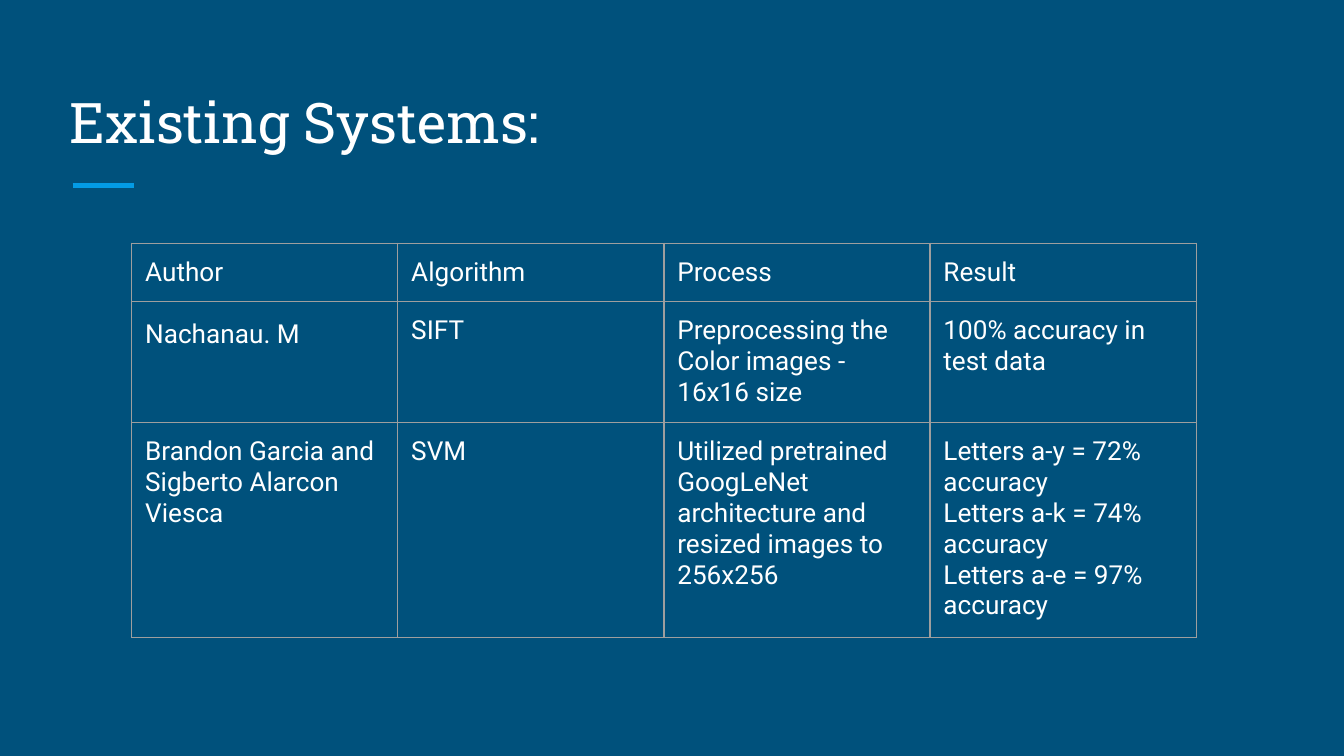
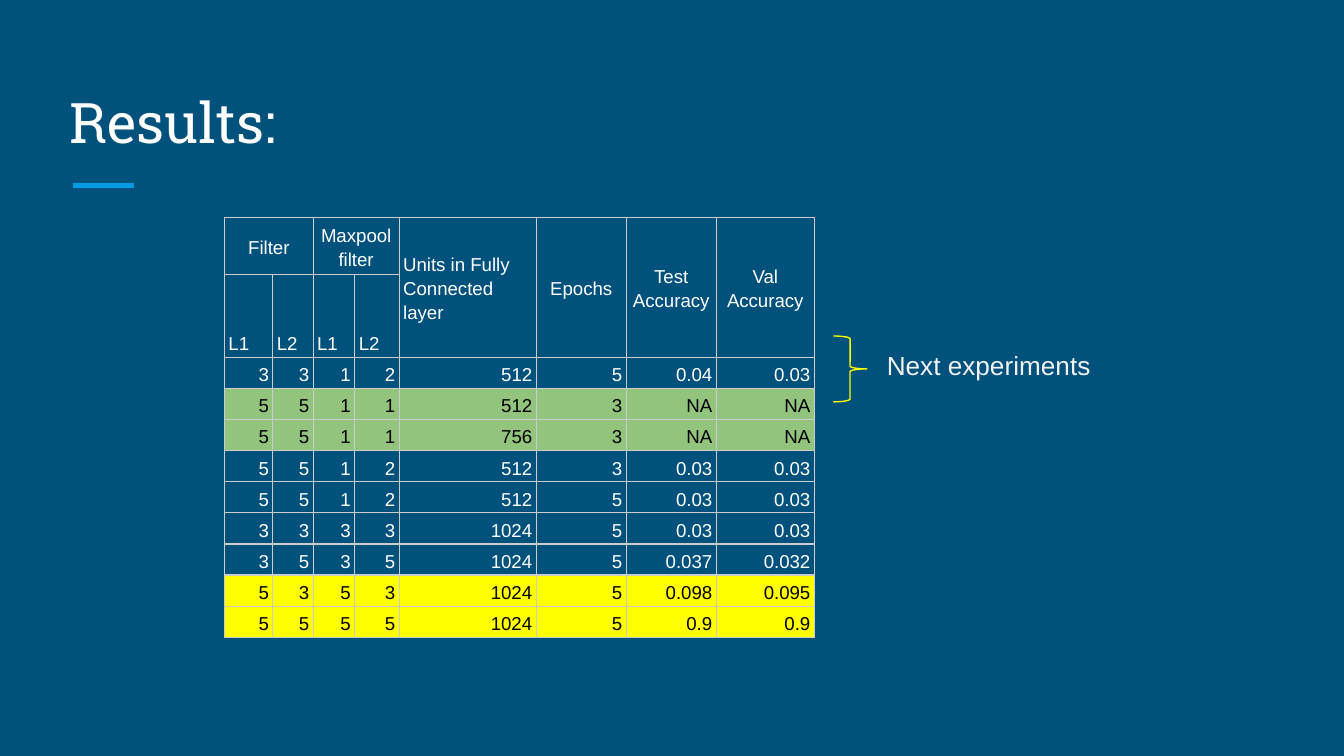
"""Build two slides: a table of existing systems and a table of experiment results."""
from dataclasses import dataclass

from lxml import etree
from pptx import Presentation
from pptx.dml.color import RGBColor
from pptx.enum import shapes, text
from pptx.oxml import ns
from pptx.util import Inches, Pt


@dataclass(frozen=True)
class Theme:
    background: str = "00517C"
    accent: str = "039BE5"
    white: str = "FFFFFF"
    black: str = "000000"
    note: str = "F3F3F3"
    green: str = "93C47D"
    yellow: str = "FFFF00"
    system_border: str = "9E9E9E"
    result_border: str = "CCCCCC"
    title_font: str = "Roboto Slab"
    system_font: str = "Roboto"
    result_font: str = "Arial"
    title_size: int = 30
    body_size: int = 14
    result_size: int = 10
    hairline: float = 0.75
    rule: float = 3


T = Theme()
LEFT, CENTER, RIGHT = text.PP_ALIGN.LEFT, text.PP_ALIGN.CENTER, text.PP_ALIGN.RIGHT
TOP, MIDDLE, BOTTOM = text.MSO_ANCHOR.TOP, text.MSO_ANCHOR.MIDDLE, text.MSO_ANCHOR.BOTTOM

SYSTEMS = [
    ("Author", "Algorithm", "Process", "Result"),
    ("Nachanau. M", "SIFT", "Preprocessing the Color images - 16x16 size",
     "100% accuracy in test data"),
    ("Brandon Garcia and Sigberto Alarcon Viesca", "SVM",
     "Utilized pretrained GoogLeNet architecture and resized images to 256x256",
     "Letters a-y = 72% accuracy\nLetters a-k = 74% accuracy\nLetters a-e = 97% accuracy"),
]
SYSTEM_COLS = [1.98] * 4
SYSTEM_ROWS = [0.42] * len(SYSTEMS)

RESULT_HEADS = [
    ("Filter", "", "Maxpool filter", "", "Units in Fully Connected layer",
     "Epochs", "Test Accuracy", "Val Accuracy"),
    ("L1", "L2", "L1", "L2", "", "", "", ""),
]
RESULTS = [
    ("3", "3", "1", "2", "512", "5", "0.04", "0.03"),
    ("5", "5", "1", "1", "512", "3", "NA", "NA"),
    ("5", "5", "1", "1", "756", "3", "NA", "NA"),
    ("5", "5", "1", "2", "512", "3", "0.03", "0.03"),
    ("5", "5", "1", "2", "512", "5", "0.03", "0.03"),
    ("3", "3", "3", "3", "1024", "5", "0.03", "0.03"),
    ("3", "5", "3", "5", "1024", "5", "0.037", "0.032"),
    ("5", "3", "5", "3", "1024", "5", "0.098", "0.095"),
    ("5", "5", "5", "5", "1024", "5", "0.9", "0.9"),
]
HIGHLIGHTS = {1: T.green, 2: T.green, 7: T.yellow, 8: T.yellow}
RESULT_COLS = [0.36, 0.3, 0.31, 0.33, 1.02, 0.67, 0.67, 0.73]
RESULT_ROWS = [0.36] + [0.22] * (len(RESULTS) + 1)
MERGES = [((0, 0), (0, 1)), ((0, 2), (0, 3))] + [((0, c), (1, c)) for c in range(4, 8)]
FRAME = 3.28


def rgb(color):
    return RGBColor.from_string(color)


def style_text(tf, font, size, color, align=LEFT, spacing=None):
    for p in tf.paragraphs:
        p.alignment = align
        if spacing:
            p.line_spacing = spacing
        for r in p.runs:
            r.font.name = font
            r.font.size = Pt(size)
            r.font.color.rgb = rgb(color)


def set_margins(target, x, y):
    target.margin_left = target.margin_right = Inches(x)
    target.margin_top = target.margin_bottom = Inches(y)


def add_text(s, box, content, font, size, color, anchor=TOP):
    tf = s.shapes.add_textbox(*map(Inches, box)).text_frame
    tf.word_wrap = True
    tf.vertical_anchor = anchor
    set_margins(tf, 0.1, 0.1)
    tf.text = content
    style_text(tf, font, size, color)


def add_titled_slide(prs, title):
    s = prs.slides.add_slide(prs.slide_layouts[6])
    s.background.fill.solid()
    s.background.fill.fore_color.rgb = rgb(T.background)
    rule = s.shapes.add_connector(shapes.MSO_CONNECTOR.STRAIGHT,
                                  Inches(0.54), Inches(1.38), Inches(1), Inches(1.38))
    rule.line.color.rgb = rgb(T.accent)
    rule.line.width = Pt(T.rule)
    etree.SubElement(rule._element.spPr, ns.qn("a:effectLst"))
    add_text(s, (0.42, 0.5, 9.15, 0.75), title, T.title_font, T.title_size, T.white, BOTTOM)
    return s


def set_borders(cell, color):
    tc_pr = cell._tc.get_or_add_tcPr()
    for side in ("lnL", "lnR", "lnT", "lnB"):
        ln = etree.SubElement(tc_pr, ns.qn(f"a:{side}"), w=str(Pt(T.hairline)))
        fill = etree.SubElement(ln, ns.qn("a:solidFill"))
        etree.SubElement(fill, ns.qn("a:srgbClr"), val=color)


def add_grid(s, left, top, cols, rows, content, border, margins):
    box = (left, top, FRAME, FRAME)
    frame = s.shapes.add_table(len(rows), len(cols), *map(Inches, box))
    table = frame.table
    table.first_row = table.horz_banding = False
    for column, width in zip(table.columns, cols):
        column.width = Inches(width)
    for row, height, values in zip(table.rows, rows, content):
        row.height = Inches(height)
        for cell, value in zip(row.cells, values):
            cell.text = value
            set_margins(cell, *margins)
            set_borders(cell, border)
            cell.fill.background()
    frame.width = frame.height = Inches(FRAME)
    return table


def add_systems(prs):
    s = add_titled_slide(prs, "Existing Systems:")
    table = add_grid(s, 0.98, 1.81, SYSTEM_COLS, SYSTEM_ROWS, SYSTEMS,
                     T.system_border, (0.1, 0.1))
    for cell in table.iter_cells():
        style_text(cell.text_frame, T.system_font, T.body_size, T.white)
    table.cell(1, 0).text_frame.paragraphs[0].line_spacing = 1.15


def add_results(prs):
    s = add_titled_slide(prs, "Results:")
    table = add_grid(s, 1.67, 1.62, RESULT_COLS, RESULT_ROWS, RESULT_HEADS + RESULTS,
                     T.result_border, (0.03, 0.02))
    for i, row in enumerate(table.rows):
        highlight = HIGHLIGHTS.get(i - len(RESULT_HEADS))
        for j, cell in enumerate(row.cells):
            if i == 0:
                align = LEFT if j == 4 else CENTER
            else:
                align = LEFT if i == 1 else RIGHT
            cell.vertical_anchor = MIDDLE if i == 0 else BOTTOM
            style_text(cell.text_frame, T.result_font, T.result_size,
                       T.black if highlight else T.white, align, 1.15)
            if highlight:
                cell.fill.solid()
                cell.fill.fore_color.rgb = rgb(highlight)
    for first, last in MERGES:
        table.cell(*first).merge(table.cell(*last))

    brace = s.shapes.add_shape(shapes.MSO_SHAPE.RIGHT_BRACE,
                               *map(Inches, (6.2, 2.5, 0.25, 0.49)))
    brace.shadow.inherit = False
    brace.fill.background()
    brace.line.color.rgb = rgb(T.yellow)
    brace.line.width = Pt(T.hairline)
    add_text(s, (6.5, 2.5, 1.74, 0.49), "Next experiments",
             T.result_font, T.body_size, T.note)


def main():
    prs = Presentation()
    prs.slide_width = Inches(10)
    prs.slide_height = prs.slide_width * 9 // 16
    add_systems(prs)
    add_results(prs)
    prs.save("out.pptx")


if __name__ == "__main__":
    main()
